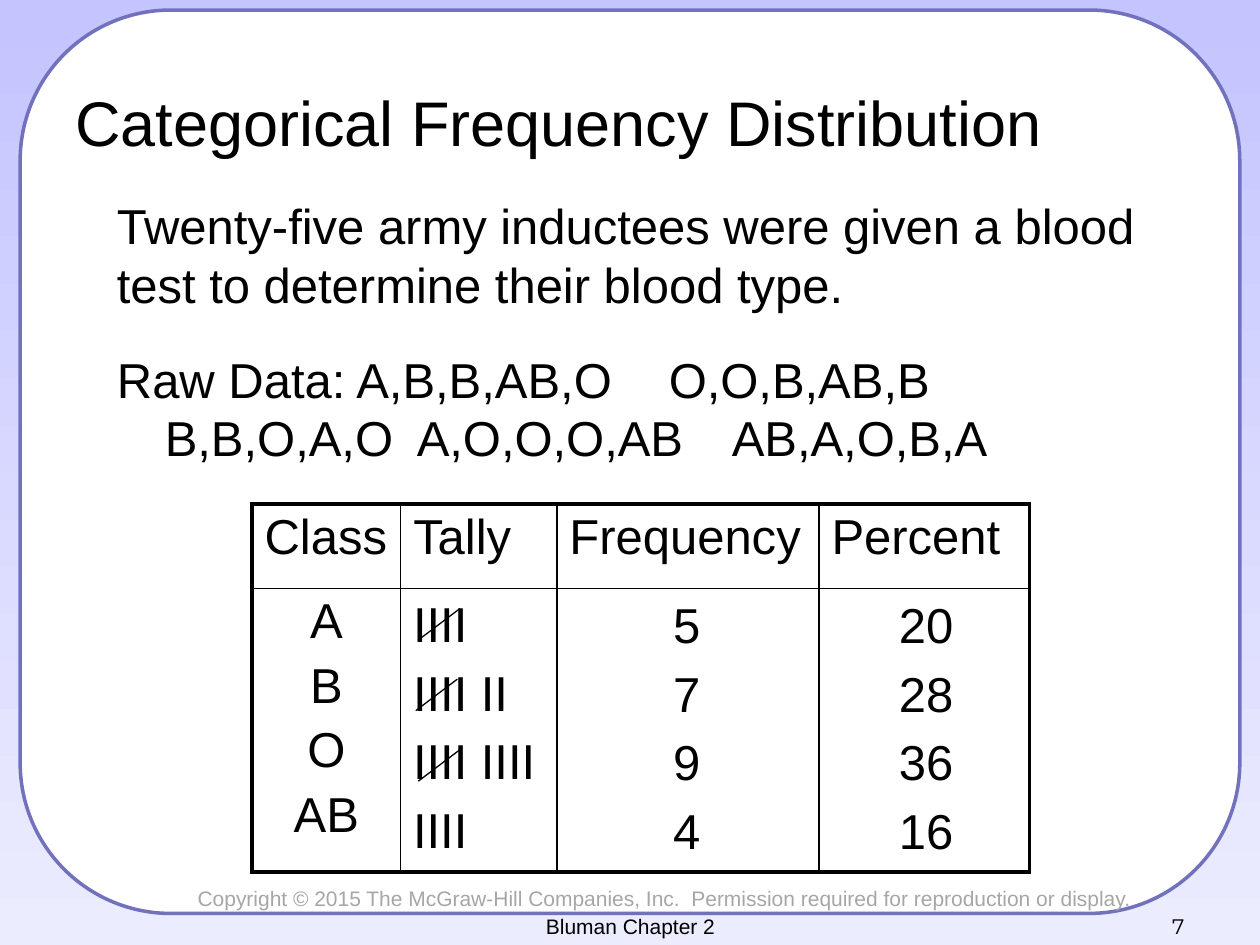
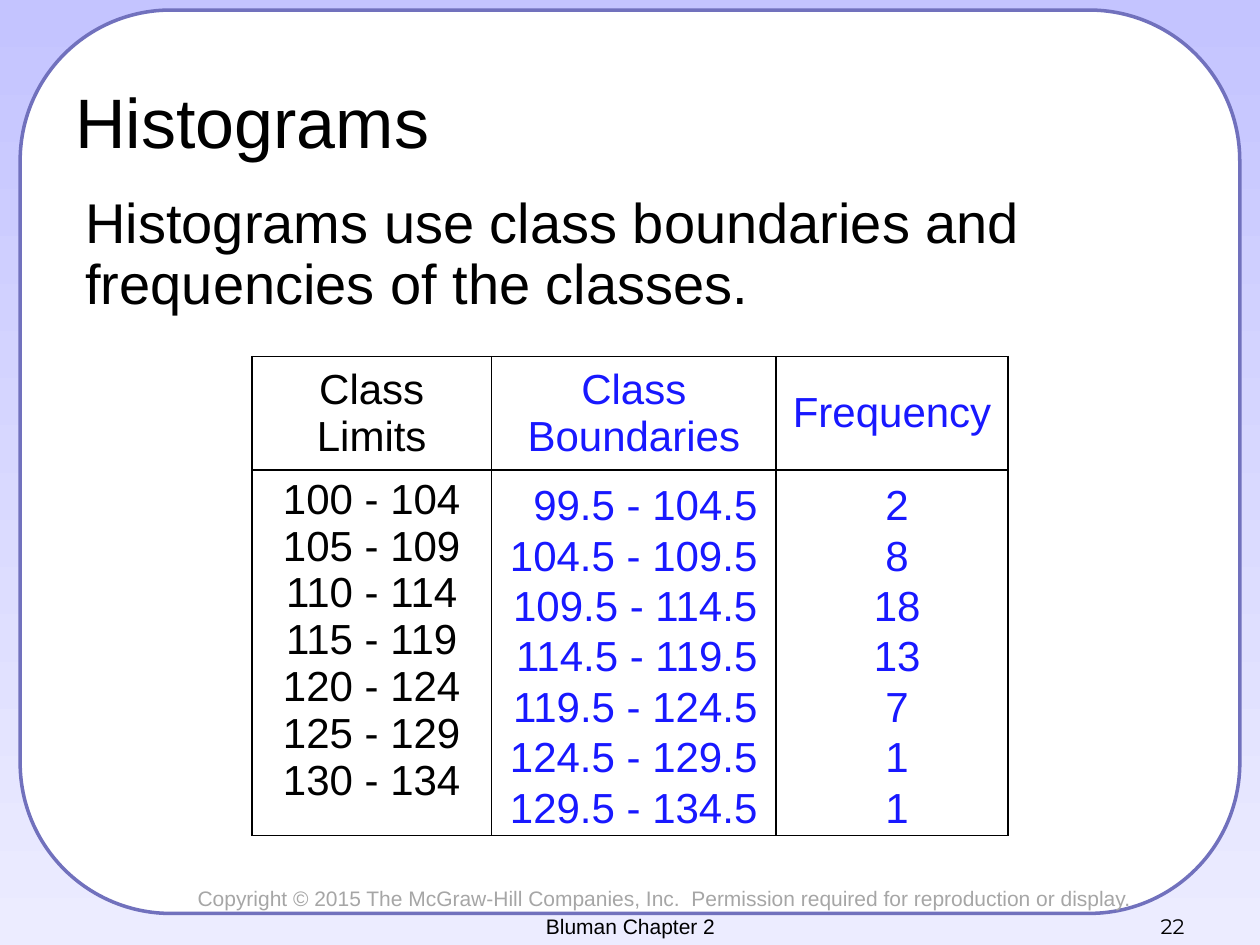
from lxml import etree
from pptx import Presentation
from pptx.dml.color import RGBColor
from pptx.enum.shapes import MSO_CONNECTOR, MSO_SHAPE
from pptx.enum.text import MSO_ANCHOR, PP_ALIGN
from pptx.oxml.ns import qn
from pptx.util import Inches, Pt

LEFT, CENTER, RIGHT = PP_ALIGN.LEFT, PP_ALIGN.CENTER, PP_ALIGN.RIGHT
TOP, MIDDLE, BOTTOM = MSO_ANCHOR.TOP, MSO_ANCHOR.MIDDLE, MSO_ANCHOR.BOTTOM
ROUNDED = MSO_SHAPE.ROUNDED_RECTANGLE
STRAIGHT = MSO_CONNECTOR.STRAIGHT

COLORS = {
    "sky": "C4C4FF",
    "haze": "ECECFF",
    "panel": "FFFFFF",
    "frame": "7171BD",
    "ink": "000000",
    "accent": "1818FF",
    "copyright": "A6A6A6",
}
BODY_FONT = "Arial"
NUMBER_FONT = "Montserrat"
COPYRIGHT = ("Copyright © 2015 The McGraw-Hill Companies, Inc.  "
             "Permission required for reproduction or display.")
CHAPTER = "Bluman Chapter 2"


def rgb(name):
    return RGBColor.from_string(COLORS[name])


def write(frame, lines, size, color="ink", align=LEFT, gap=0, font=BODY_FONT):
    for index, line in enumerate(lines):
        paragraph = frame.paragraphs[0] if index == 0 else frame.add_paragraph()
        paragraph.text = line
        paragraph.alignment = align
        if index and gap:
            paragraph.space_before = Pt(gap)
        paragraph.font.size = Pt(size)
        paragraph.font.name = font
        paragraph.font.color.rgb = rgb(color)


def add_text(slide, box, lines, size, anchor=TOP, wrap=True, **style):
    frame = slide.shapes.add_textbox(*map(Inches, box)).text_frame
    frame.word_wrap = wrap
    frame.vertical_anchor = anchor
    write(frame, lines, size, **style)
    return frame


def add_base(prs, number):
    slide = prs.slides.add_slide(prs.slide_layouts[6])
    fill = slide.background.fill
    fill.gradient()
    fill.gradient_angle = 270
    for stop, name in zip(fill.gradient_stops, ("sky", "haze")):
        stop.color.rgb = rgb(name)

    panel = slide.shapes.add_shape(
        ROUNDED, Inches(0.16), Inches(0.08), Inches(9.68), Inches(7.17))
    panel.shadow.inherit = False
    panel.fill.solid()
    panel.fill.fore_color.rgb = rgb("panel")
    panel.line.color.rgb = rgb("frame")
    panel.line.width = Pt(2)

    add_text(slide, (1.47, 6.98, 7.67, 0.3), [COPYRIGHT], 12, wrap=False,
             color="copyright")
    add_text(slide, (7.17, 7, 2.33, 0.5), [str(number)], 12, BOTTOM,
             align=RIGHT, font=NUMBER_FONT)
    add_text(slide, (3.42, 7, 3.17, 0.5), [CHAPTER], 12, BOTTOM, align=CENTER)
    return slide


def add_title(slide, title, size):
    add_text(slide, (0.5, 0.5, 9, 0.92), [title], size, MIDDLE)


def set_borders(cell, widths):
    properties = cell._tc.get_or_add_tcPr()
    for position, (side, width) in enumerate(widths.items()):
        border = etree.Element(qn(f"a:{side}"), w=str(Pt(width)))
        fill = etree.SubElement(border, qn("a:solidFill"))
        etree.SubElement(fill, qn("a:srgbClr"), val=COLORS["ink"])
        properties.insert(position, border)


def add_grid(slide, left, top, columns, rows, outer):
    height, width = len(rows), len(columns)
    table = slide.shapes.add_table(
        height, width, Inches(left), Inches(top),
        Inches(sum(columns)), Inches(sum(rows))).table
    table.first_row = table.horz_banding = False
    for column, size in zip(table.columns, columns):
        column.width = Inches(size)
    for row, size in zip(table.rows, rows):
        row.height = Inches(size)
    for r in range(height):
        for c in range(width):
            cell = table.cell(r, c)
            cell.fill.background()
            edges = {"lnL": c == 0, "lnR": c == width - 1,
                     "lnT": r == 0, "lnB": r == height - 1}
            set_borders(cell, {side: outer if edge else 1
                               for side, edge in edges.items()})
    return table


def add_tally_slash(slide, left, top):
    slash = slide.shapes.add_connector(
        STRAIGHT, Inches(left), Inches(top + 0.25),
        Inches(left + 0.33), Inches(top))
    slash.line.color.rgb = rgb("ink")
    slash.line.width = Pt(0.75)
    etree.SubElement(slash._element.spPr, qn("a:effectLst"))


def add_hanging_tabs(paragraph, indent, stops):
    properties = paragraph._p.get_or_add_pPr()
    properties.set("marL", str(Inches(indent)))
    properties.set("indent", str(-Inches(indent)))
    tabs = etree.Element(qn("a:tabLst"))
    for stop in stops:
        etree.SubElement(tabs, qn("a:tab"), pos=str(Inches(stop)), algn="l")
    properties.find(qn("a:defRPr")).addprevious(tabs)


def build_categorical(prs):
    slide = add_base(prs, 7)
    add_title(slide, "Categorical Frequency Distribution", 36)
    intro = add_text(
        slide, (0.83, 1.5, 8.83, 2.42),
        ["Twenty-five army inductees were given a blood test "
         "to determine their blood type.",
         "Raw Data: A,B,B,AB,O\tO,O,B,AB,B\v"
         "B,B,O,A,O\tA,O,O,O,AB\tAB,A,O,B,A"], 28, gap=20.7)
    add_hanging_tabs(intro.paragraphs[1], 0.38, (2.82, 4.58, 5.56))

    table = add_grid(slide, 2, 4, (1.18, 1.24, 2.08, 1.67), (0.67, 2.25), 2.25)
    for column, heading in enumerate(("Class", "Tally", "Frequency", "Percent")):
        write(table.cell(0, column).text_frame, [heading], 28)
    write(table.cell(1, 0).text_frame, ["A", "B", "O", "AB"], 28,
          align=CENTER, gap=5.6)

    for row, left in enumerate((3.32, 3.3, 3.32)):
        add_tally_slash(slide, left, 4.83 + 0.56 * row)
    overlays = (
        ((3.18, 4.66, 1.17, 2.55), LEFT, ["IIII", "IIII II", "IIII IIII", "IIII"]),
        ((5.24, 4.67, 0.42, 2.27), CENTER, ["5", "7", "9", "4"]),
        ((7.03, 4.67, 0.64, 2.27), CENTER, ["20", "28", "36", "16"]),
    )
    for box, align, values in overlays:
        add_text(slide, box, values, 28, wrap=False, align=align, gap=5.6)


def build_histograms(prs):
    slide = add_base(prs, 22)
    add_title(slide, "Histograms", 40)
    summary = add_text(
        slide, (0.58, 1.5, 7.82, 1.08),
        ["Histograms use class boundaries and frequencies of the classes."], 32)
    summary.paragraphs[0].line_spacing = 0.9

    table = add_grid(slide, 2, 2.83, (1.9, 2.26, 1.84), (0.9, 2.9), 1)
    headings = (("Class Limits", "ink"), ("Class Boundaries", "accent"),
                ("Frequency", "accent"))
    for column, (heading, color) in enumerate(headings):
        cell = table.cell(0, column)
        cell.vertical_anchor = MIDDLE
        write(cell.text_frame, [heading], 24, color, CENTER)

    starts = range(100, 135, 5)
    limits = [f"{start} - {start + 4}" for start in starts]
    boundaries = [f"{start - 0.5} - {start + 4.5}" for start in starts]
    frequencies = [str(count) for count in (2, 8, 18, 13, 7, 1, 1)]
    write(table.cell(1, 0).text_frame, limits, 24, align=CENTER)
    add_text(slide, (3.92, 3.75, 2.19, 2.93), boundaries, 24, wrap=False,
             color="accent", align=RIGHT)
    add_text(slide, (6.83, 3.75, 0.58, 2.93), frequencies, 24, wrap=False,
             color="accent", align=CENTER)


def main():
    prs = Presentation()
    prs.slide_width, prs.slide_height = Inches(10), Inches(7.5)
    build_categorical(prs)
    build_histograms(prs)
    prs.save("out.pptx")


if __name__ == "__main__":
    main()
